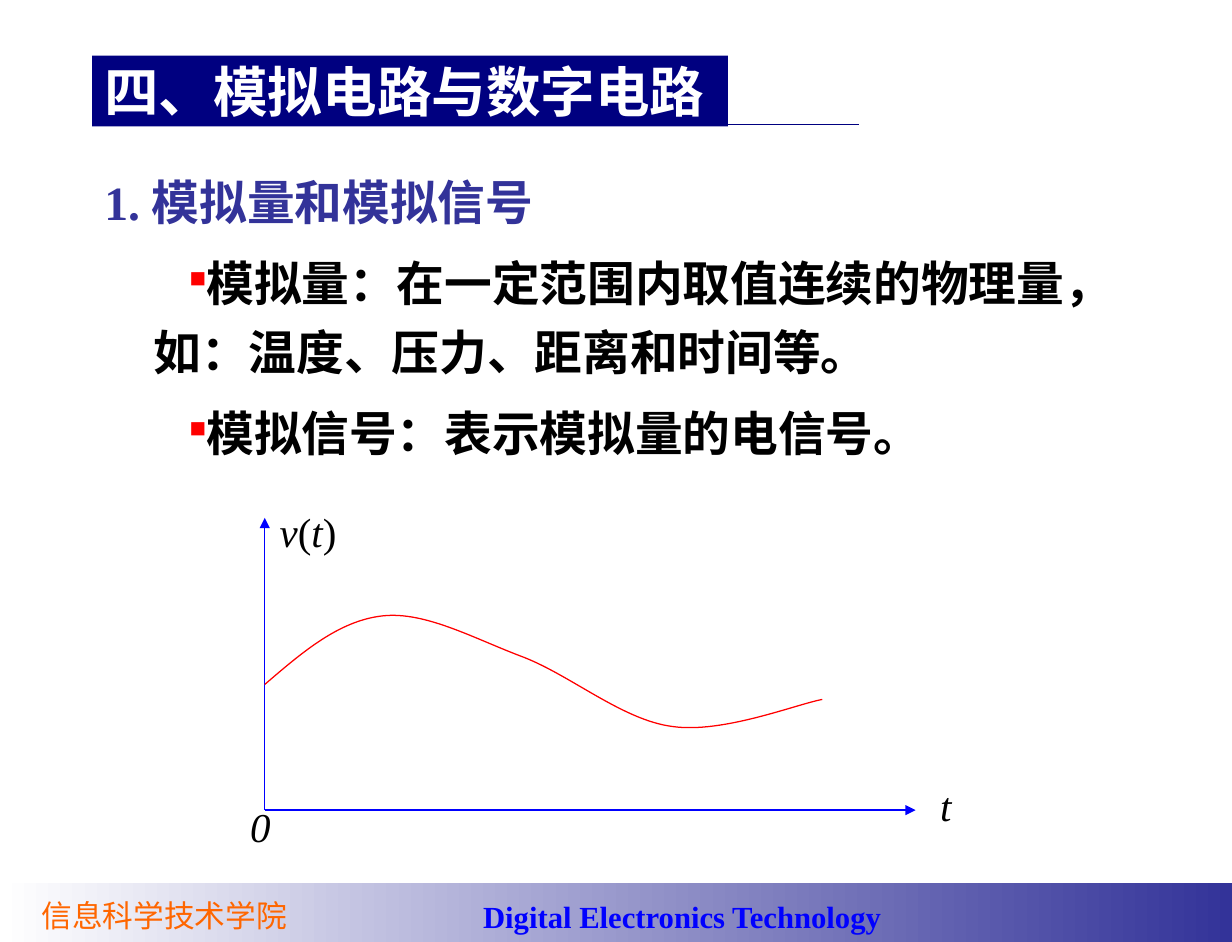
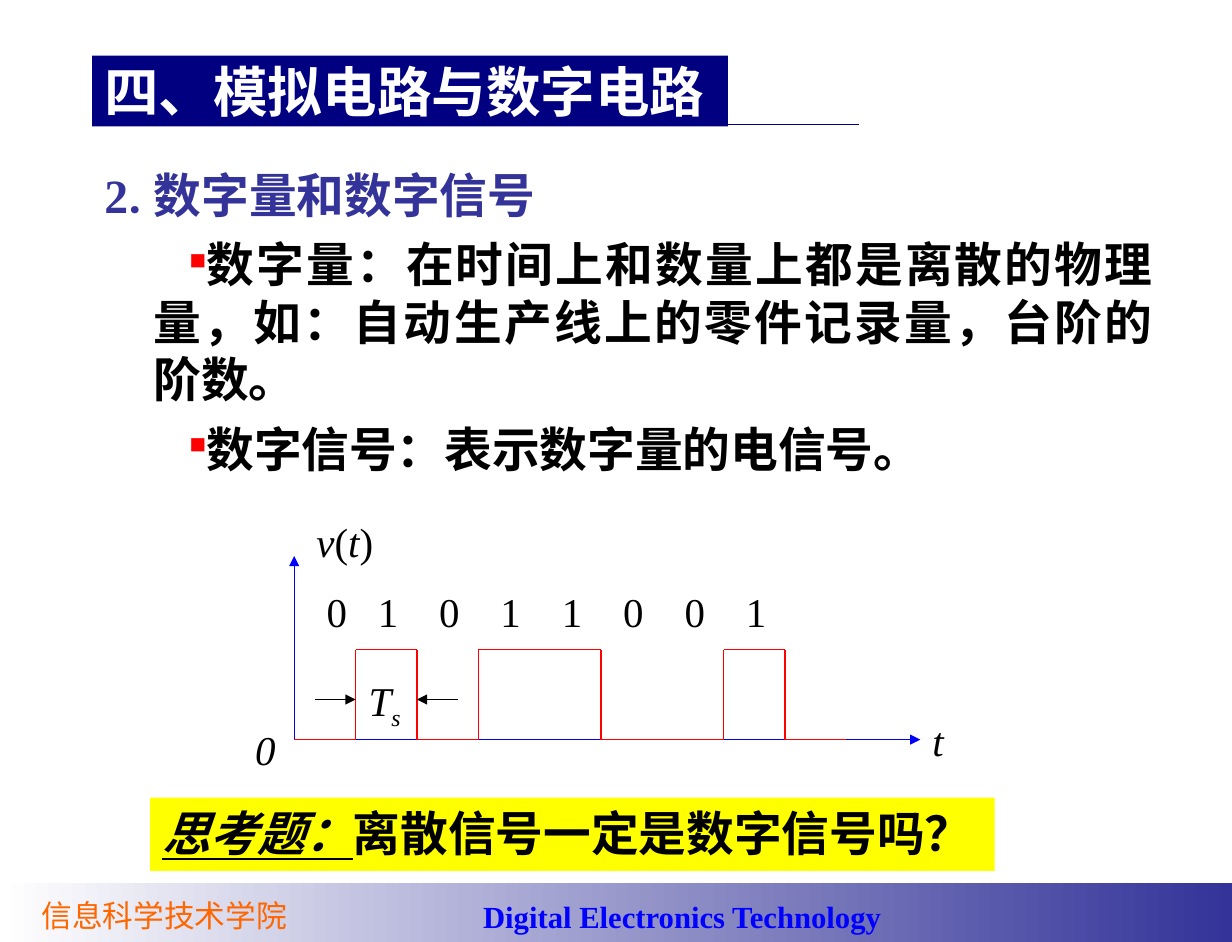
from itertools import groupby

from lxml import etree
from pptx import Presentation
from pptx.dml.color import RGBColor
from pptx.enum import shapes, text
from pptx.oxml.ns import qn
from pptx.util import Cm, Pt

INK = {
    "black": "000000", "white": "FFFFFF", "navy": "000080", "indigo": "333399",
    "blue": "0000FF", "red": "FF0000", "orange": "FF6600", "yellow": "FFFF00",
}
SERIF, SANS, HAN = "Times New Roman", "Roboto", "Noto Sans CJK SC"
WIDE, HIGH = 25.5, 19.5


def tint(name):
    return RGBColor.from_string(INK[name])


def child(parent, tag, **attrs):
    return etree.SubElement(parent, qn(tag), attrs)


def run(words, size=24, font=SERIF, ink="black", **style):
    return words, size, font, ink, style


def add_run(para, words, size, font, ink, style):
    piece = para.add_run()
    piece.text = words
    face = piece.font
    face.size, face.name = Pt(size), font
    face.color.rgb = tint(ink)
    face.bold = style.get("bold", False)
    face.italic = style.get("italic", False)
    face.underline = style.get("line", False)
    props = piece._r.get_or_add_rPr()
    child(props, "a:ea", typeface=HAN)
    if "base" in style:
        props.set("baseline", str(style["base"]))


def frame(shape, runs, wrap=False, anchor=text.MSO_ANCHOR.TOP):
    """Set the insets of a shape and write its first paragraph."""
    body = shape.text_frame
    body.word_wrap = wrap
    body.vertical_anchor = anchor
    body.margin_left = body.margin_right = Cm(0.25)
    body.margin_top = body.margin_bottom = Cm(0.13)
    para = body.paragraphs[0]
    para.alignment = text.PP_ALIGN.LEFT
    for item in runs:
        add_run(para, *item)
    return body


def label(slide, x, y, wide, high, *runs, **layout):
    box = slide.shapes.add_textbox(Cm(x), Cm(y), Cm(wide), Cm(high))
    return frame(box, runs, **layout)


def block(slide, x, y, wide, high, ink=None):
    """Add a borderless rectangle, filled if a colour is given."""
    shape = slide.shapes.add_shape(
        shapes.MSO_SHAPE.RECTANGLE, Cm(x), Cm(y), Cm(wide), Cm(high))
    shape.shadow.inherit = False
    shape.line.fill.background()
    if ink:
        shape.fill.solid()
        shape.fill.fore_color.rgb = tint(ink)
    return shape


def line(slide, x1, y1, x2, y2, ink, arrow=False):
    link = slide.shapes.add_connector(
        shapes.MSO_CONNECTOR.STRAIGHT, Cm(x1), Cm(y1), Cm(x2), Cm(y2))
    link.line.color.rgb = tint(ink)
    link.line.width = Pt(0.75)
    if arrow:
        child(link.line._get_or_add_ln(), "a:tailEnd", type="triangle")
    child(link._element.spPr, "a:effectLst")


def curve(slide, points, ink):
    """Draw cubic segments: a start, then two controls and an end for each."""
    spots = [(Cm(x), Cm(y)) for x, y in points]
    pen = slide.shapes.build_freeform(*spots[0])
    pen.add_line_segments(spots[1:], close=False)
    shape = pen.convert_to_shape()
    shape.shadow.inherit = False
    shape.fill.background()
    shape.line.color.rgb = tint(ink)
    shape.line.width = Pt(0.75)
    track = shape._element.find(".//" + qn("a:path"))
    steps = track.findall(qn("a:lnTo"))
    for i in range(0, len(steps), 3):
        bend = child(track, "a:cubicBezTo")
        for step in steps[i:i + 3]:
            bend.append(step[0])
            track.remove(step)


def bullet(para):
    props = para._p.get_or_add_pPr()
    props.set("lvl", "1")
    props.set("marL", str(Cm(1.02)))
    props.set("indent", str(Cm(0.74)))
    child(child(props, "a:buClr"), "a:srgbClr", val=INK["red"])
    child(props, "a:buSzPct", val="48000")
    child(props, "a:buChar", char="■")


def notes(slide, y, high, pitch, head, points, align):
    """Write a heading and its bulleted points at a fixed line pitch."""
    body = label(slide, 1.91, y, 22.2, high, *head, wrap=True)
    body.paragraphs[0].line_spacing = Pt(pitch)
    for words, font in points:
        para = body.add_paragraph()
        bullet(para)
        para.alignment = align
        para.line_spacing = Pt(pitch)
        para.space_before = Pt(7)
        add_run(para, *run(words, 28, font, bold=True))


def base(deck):
    """Add a slide with the shared title and footer."""
    slide = deck.slides.add_slide(deck.slide_layouts[6])
    band = block(slide, 0, 18.28, WIDE, HIGH - 18.28)
    band.fill.gradient()
    band.fill.gradient_angle = 0
    for stop, ink, place in zip(band.fill.gradient_stops, ("white", "indigo"), (0, 1)):
        stop.color.rgb = tint(ink)
        stop.position = place
    label(slide, 0.61, 18.44, 5.62, 0.81,
          run("信息科学技术学院", 18, HAN, "orange"))
    label(slide, 9.75, 18.45, 8.84, 1.02,
          run("Digital Electronics Technology", 18, ink="blue", bold=True))
    title = block(slide, 1.91, 1.15, 13.16, 1.47, "navy")
    frame(title, [run("四、模拟电路与数字电路", 32, SANS, "white", bold=True)],
          wrap=True, anchor=text.MSO_ANCHOR.MIDDLE)
    line(slide, 9.45, 2.58, 17.78, 2.58, "navy")
    return slide


def axes(slide, x, y, right, top, time, volt, zero):
    """Draw both axes and put their three labels at the given places."""
    line(slide, x, y, right, y, "blue", arrow=True)
    line(slide, x, y, x, top, "blue", arrow=True)
    label(slide, *time, 0.74, 1.27, run("t", italic=True))
    label(slide, *volt, 1.68, 1.27, run("v", italic=True), run("("),
          run("t", italic=True), run(")"))
    label(slide, *zero, 0.94, 1.27, run("0", italic=True))


def pulse(slide, bits, x, low, high, step):
    for bit, group in groupby(bits):
        end = x + step * len(list(group))
        y = high if bit == "1" else low
        line(slide, x, y, end, y, "red")
        if bit == "1":
            for edge in (x, end):
                line(slide, edge, low, edge, high, "red")
        x = end


def digits(slide, bits):
    body = label(slide, 6.51, 12.01, 9.63, 1.27, run("\t".join(bits)))
    props = body.paragraphs[0]._p.get_or_add_pPr()
    tabs = child(props, "a:tabLst")
    for i in range(len(bits) - 1):
        child(tabs, "a:tab", pos=str(Cm(1.06 + 1.27 * i)), algn="l")


def analog(deck):
    slide = base(deck)
    head = [run("1. 模拟量和", 28, SERIF, "indigo", bold=True),
            run("模拟信号", 28, SANS, "indigo", bold=True)]
    notes(slide, 3.2, 7.16, 40.5, head, [
        ("模拟量：在一定范围内取值连续的物理量，如：温度、压力、距离和时间等。", SERIF),
        ("模拟信号：表示模拟量的电信号。", SANS),
    ], text.PP_ALIGN.LEFT)
    axes(slide, 5.48, 16.77, 18.95, 10.72,
         (19.21, 16.03), (5.54, 10.36), (4.93, 16.46))
    curve(slide, [
        (5.48, 14.17),
        (6.25, 13.51), (7.01, 12.85), (7.92, 12.75),
        (8.81, 12.65), (9.83, 13.23), (10.85, 13.61),
        (11.84, 14), (12.9, 14.91), (13.92, 15.04),
        (14.96, 15.19), (16.48, 14.58), (17.02, 14.48),
    ], "red")


def digital(deck):
    slide = base(deck)
    left, low, high, step = 6.09, 15.31, 13.45, 1.27
    bits = "01011001"
    axes(slide, left, low, 19.05, 11.51,
         (19.05, 14.68), (6.3, 10.56), (5.03, 14.88))
    pulse(slide, bits + "0", left, low, high, step)
    digits(slide, bits)
    label(slide, 7.38, 13.86, 1.17, 1.42, run("T", italic=True),
          run("s", italic=True, base=-25000))
    start, end = left + step, left + 2 * step
    for tail, tip in ((start - 0.85, start), (end + 0.85, end)):
        line(slide, tail, 14.48, tip, 14.48, "black", arrow=True)
    head = [run("2", 28, SERIF, "indigo", bold=True),
            run(". 数字量和数字信号", 28, SANS, "indigo", bold=True)]
    notes(slide, 3.3, 6.86, 33.7, head, [
        ("数字量：在时间上和数量上都是离散的物理量，如：自动生产线上的零件记录量，台阶的阶数。", SERIF),
        ("数字信号：表示数字量的电信号。", SANS),
    ], text.PP_ALIGN.JUSTIFY)
    quiz = block(slide, 3.11, 16.51, 17.48, 1.52, "yellow")
    body = frame(quiz, [
        run("思考题：", 28, bold=True, italic=True, line=True),
        run("离散信号一定是数字信号吗？", 28, bold=True),
    ], wrap=True)
    body.paragraphs[0].line_spacing = Pt(33.7)


def main():
    deck = Presentation()
    deck.slide_width, deck.slide_height = Cm(WIDE), Cm(HIGH)
    analog(deck)
    digital(deck)
    deck.save("out.pptx")


if __name__ == "__main__":
    main()
